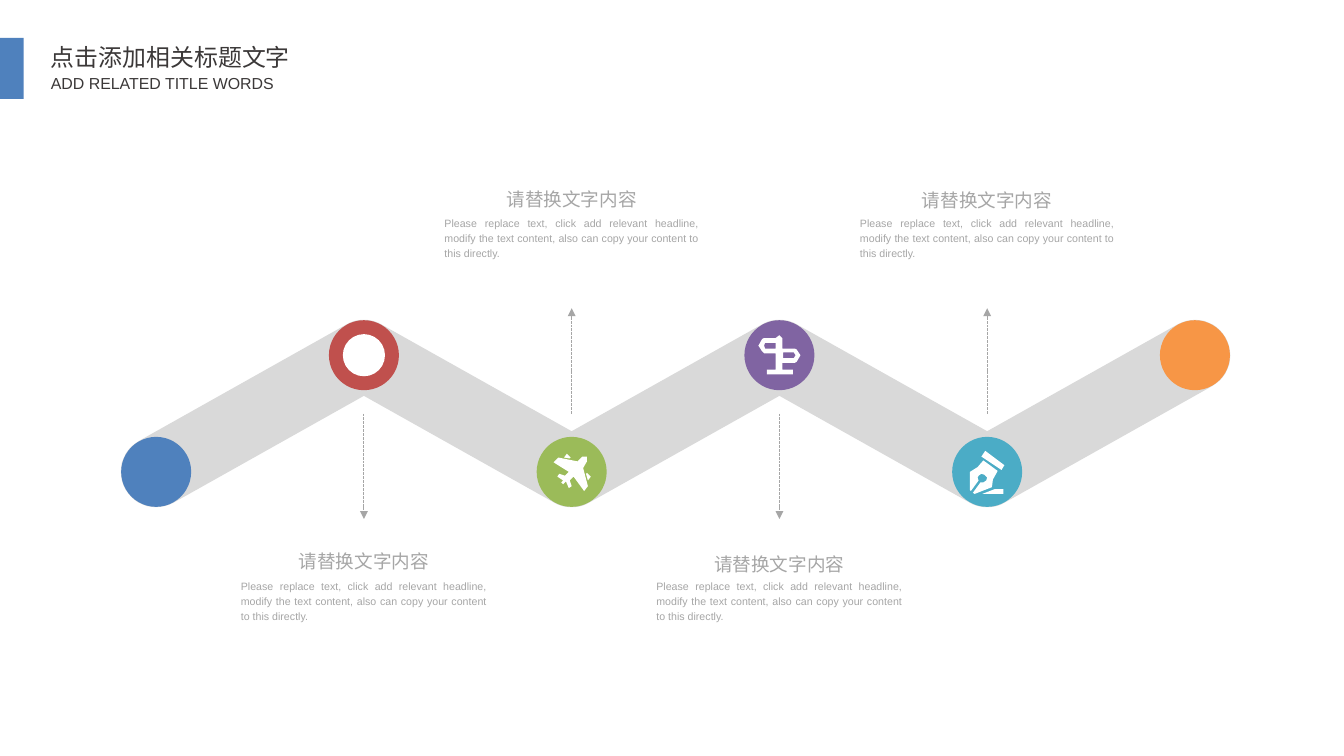
from itertools import pairwise
from math import atan2, cos, pi, sin

from lxml.etree import SubElement
from pptx import Presentation
from pptx.dml.color import RGBColor
from pptx.enum.dml import MSO_LINE
from pptx.enum.shapes import MSO_CONNECTOR, MSO_SHAPE
from pptx.enum.text import MSO_ANCHOR, MSO_AUTO_SIZE, PP_ALIGN
from pptx.oxml.ns import qn
from pptx.util import Cm, Pt

DARK, GREY, BAND, WHITE = "3B3838", "A6A6A6", "D9D9D9", "FFFFFF"
LATIN, CHINESE = "Arial", "Noto Sans CJK SC"
HEADING = "请替换文字内容"
BODY = ("Please replace text, click add relevant headline, modify the text "
        "content, also can copy your content to this directly.")
ICON_UNIT = Cm(2.54) / 100
BAND_UNIT = Cm(0.01)

# Icon outlines, measured from the centre of their circle
PLANE = [
    [(16, -16), (16, -11), (12, -4), (17, 15), (13, 20), (2, 5), (-2, 9), (0, 15),
     (-3, 17), (-6, 10), (-9, 13), (-11, 11), (-9, 9), (-15, 5), (-13, 2),
     (-7, 4), (-3, 0), (-19, -10), (-14, -15), (6, -11), (11, -16)],
    [(20, 5), (16, 1), (15, 2), (17, 9)],
    [(-5, -19), (-8, -15), (-2, -14), (-1, -15)],
]
SIGNPOST = [
    [(3, -7), (16, -7), (18, -6), (22, 0), (18, 7), (16, 8), (3, 8), (3, 15),
     (14, 15), (14, 20), (-13, 20), (-13, 15), (-4, 15), (-4, -2), (-16, -2),
     (-18, -4), (-22, -10), (-18, -17), (-16, -18), (-4, -18), (0, -21), (3, -18)],
    [(-4, -13), (-15, -13), (-16, -10), (-15, -7), (-4, -7)],
    [(15, -3), (4, -3), (4, 3), (15, 3), (17, 0)],
]
PEN = [
    [(-17, 20), (-18, 19), (-18, 0), (-10, -5), (-4, -12), (11, -1), (6, 8),
     (5, 16), (-13, 23), (-15, 22), (-7, 11), (-4, 11), (-1, 9), (0, 6), (-3, 3),
     (-6, 2), (-9, 4), (-10, 6), (-9, 9)],
    [(-5, 23), (17, 23), (17, 18), (8, 18)],
    [(15, -2), (18, -7), (-2, -22), (-6, -16)],
]

# Circle colour, icon (None for a plain disc), and top of the caption in cm
STEPS = [
    ("4F81BD", None, None),
    ("C0504D", None, 14.36),
    ("9BBB59", PLANE, 4.75),
    ("8064A2", SIGNPOST, 14.45),
    ("4BACC6", PEN, 4.78),
    ("F79646", None, None),
]


def rgb(colour):
    return RGBColor.from_string(colour)


def paint(shape, colour):
    shape.shadow.inherit = False
    shape.fill.solid()
    shape.fill.fore_color.rgb = rgb(colour)
    shape.line.fill.background()


def write(shape, text, *, size, colour, font=LATIN, align=PP_ALIGN.LEFT,
          spacing=1.0, wrap=False, margin=0.25):
    frame = shape.text_frame
    frame.auto_size = MSO_AUTO_SIZE.NONE
    frame.word_wrap = wrap
    frame.vertical_anchor = MSO_ANCHOR.TOP
    frame.margin_left = frame.margin_right = Cm(margin)
    frame.margin_top = frame.margin_bottom = Cm(0.13)
    paragraph = frame.paragraphs[0]
    paragraph.alignment = align
    paragraph.line_spacing = spacing
    run = paragraph.add_run()
    run.text = text
    run.font.name = font
    run.font.size = Pt(size)
    run.font.color.rgb = rgb(colour)
    latin = run.font._element.find(qn("a:latin"))
    east_asian = latin.makeelement(qn("a:ea"), {"typeface": CHINESE})
    latin.addnext(east_asian)


def add_text(slide, left, top, width, height, text, **style):
    box = slide.shapes.add_textbox(Cm(left), Cm(top), Cm(width), Cm(height))
    write(box, text, **style)


def add_disc(slide, x, y, diameter, colour):
    disc = slide.shapes.add_shape(
        MSO_SHAPE.OVAL, Cm(x - diameter / 2), Cm(y - diameter / 2),
        Cm(diameter), Cm(diameter))
    paint(disc, colour)


def add_outline(slide, contours, colour, unit, x=0, y=0):
    """Draw closed contours as one shape whose zero point is at x, y in cm."""
    builder = slide.shapes.build_freeform(*contours[0][0], scale=unit)
    builder.add_line_segments(contours[0][1:], close=True)
    for contour in contours[1:]:
        builder.move_to(*contour[0])
        builder.add_line_segments(contour[1:], close=True)
    paint(builder.convert_to_shape(Cm(x), Cm(y)), colour)


def band_outline(nodes, radius, arc_steps=24):
    """Return the edge of a thick line: round outer corners, sharp inner ones."""
    walk = nodes + nodes[-2:0:-1]
    closed = [walk[-1], *walk, walk[0]]
    headings = [atan2(y2 - y1, x2 - x1) for (x1, y1), (x2, y2) in pairwise(closed)]
    points = []
    for (x, y), (before, after) in zip(walk, pairwise(headings)):
        turn = (after - before + pi / 2) % (2 * pi) - pi / 2
        if turn > 0:
            reach = radius
            angles = [before + turn * step / arc_steps for step in range(arc_steps + 1)]
        else:
            reach = radius / cos(turn / 2)
            angles = [before + turn / 2]
        points += [(100 * (x + reach * sin(angle)), 100 * (y - reach * cos(angle)))
                   for angle in angles]
    return points


def add_arrow(slide, x, start, end):
    arrow = slide.shapes.add_connector(
        MSO_CONNECTOR.STRAIGHT, Cm(x), Cm(start), Cm(x), Cm(end))
    arrow.line.color.rgb = rgb(GREY)
    arrow.line.width = Pt(0.75)
    arrow.line.dash_style = MSO_LINE.SQUARE_DOT
    SubElement(arrow.line._get_or_add_ln(), qn("a:tailEnd"), type="triangle")
    SubElement(arrow._element.spPr, qn("a:effectLst"))


def add_header(slide, top):
    marker = slide.shapes.add_shape(MSO_SHAPE.RECTANGLE, 0, Cm(top), Cm(0.63), Cm(1.62))
    paint(marker, "4F81BD")
    title = slide.shapes.title
    title.left, title.top, title.width, title.height = Cm(1.07), Cm(top), Cm(7.5), Cm(1.04)
    write(title, "点击添加相关标题文字", size=18, colour=DARK, font=CHINESE, margin=0.28)
    add_text(slide, 1.07, top + 0.81, 6.48, 0.79, "ADD RELATED TITLE WORDS",
             size=12, colour=DARK, margin=0.28)


def add_caption(slide, centre, top, body_top, body_width):
    add_text(slide, centre - 1.98, top, 3.96, 0.84, HEADING, size=14, colour=GREY,
             align=PP_ALIGN.CENTER, spacing=1.2)
    add_text(slide, centre - body_width / 2, body_top, body_width, 1.4, BODY, size=8,
             colour=GREY, align=PP_ALIGN.JUSTIFY, spacing=1.2, wrap=True)


def add_road(slide, left, top, pitch, drop):
    """Draw the zigzag from its first node at left; top is the upper row's centre."""
    nodes = [(left + pitch * index, top + drop * (index % 2 == 0))
             for index in range(len(STEPS))]
    add_outline(slide, [band_outline(nodes, 0.94)], BAND, BAND_UNIT)
    middle = top + drop / 2
    for (x, y), (colour, icon, caption_top) in zip(nodes, STEPS):
        add_disc(slide, x, y, 1.86, colour)
        if caption_top is None:
            continue
        if icon is None:
            add_disc(slide, x, y, 1.12, WHITE)
        else:
            add_outline(slide, icon, WHITE, ICON_UNIT, x, y)
        if y == top:
            add_arrow(slide, x, middle, middle + 2.8)
            add_caption(slide, x, caption_top, top + 5.77, 7.04)
        else:
            add_arrow(slide, x, middle, middle - 2.8)
            add_caption(slide, x, caption_top, top - 3.88, 7.26)


def main():
    presentation = Presentation()
    presentation.slide_width, presentation.slide_height = Cm(35.71), Cm(20.09)
    slide = presentation.slides.add_slide(presentation.slide_layouts[5])
    add_header(slide, top=1.01)
    add_road(slide, left=4.15, top=9.44, pitch=5.52, drop=3.1)
    presentation.save("out.pptx")


if __name__ == "__main__":
    main()
